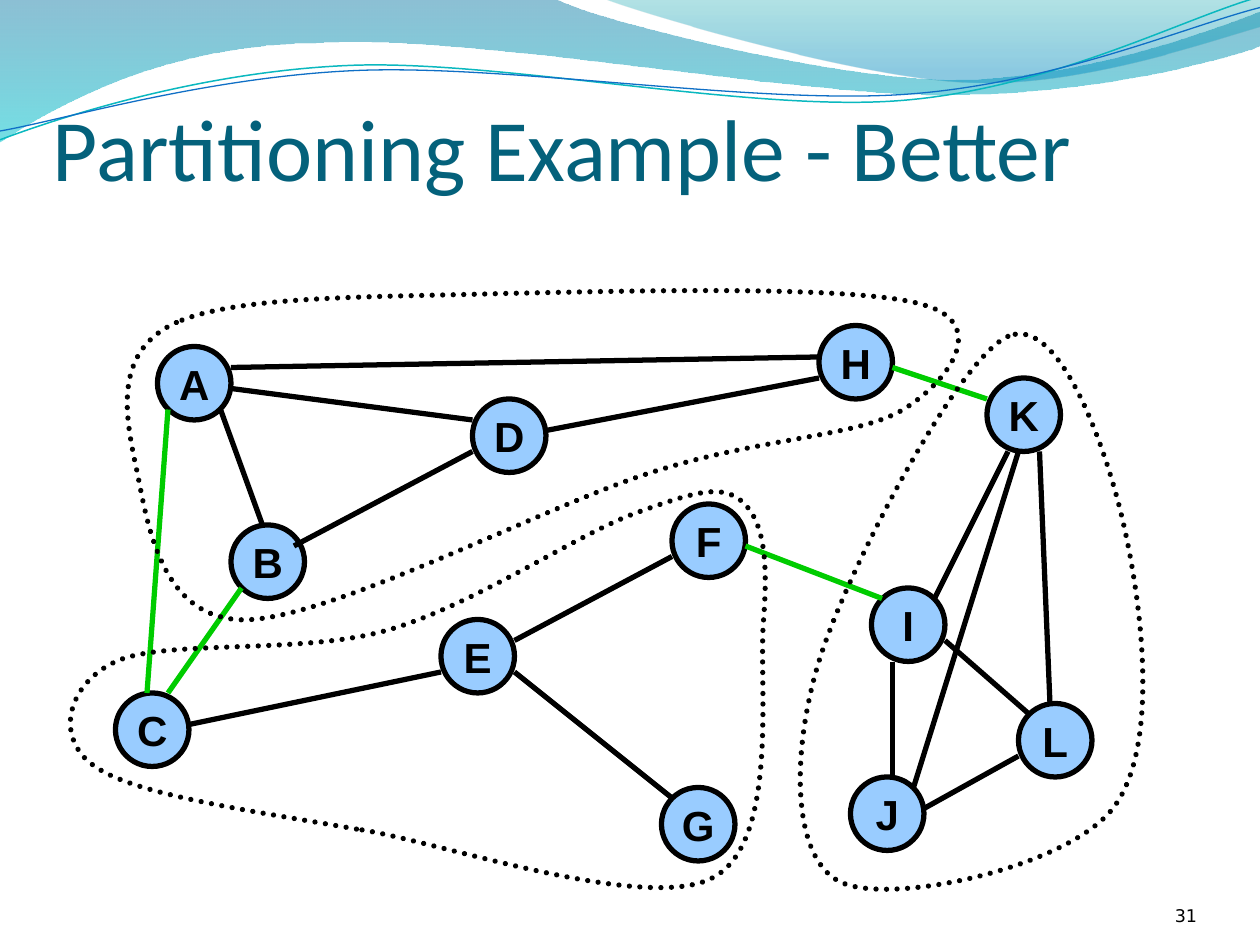
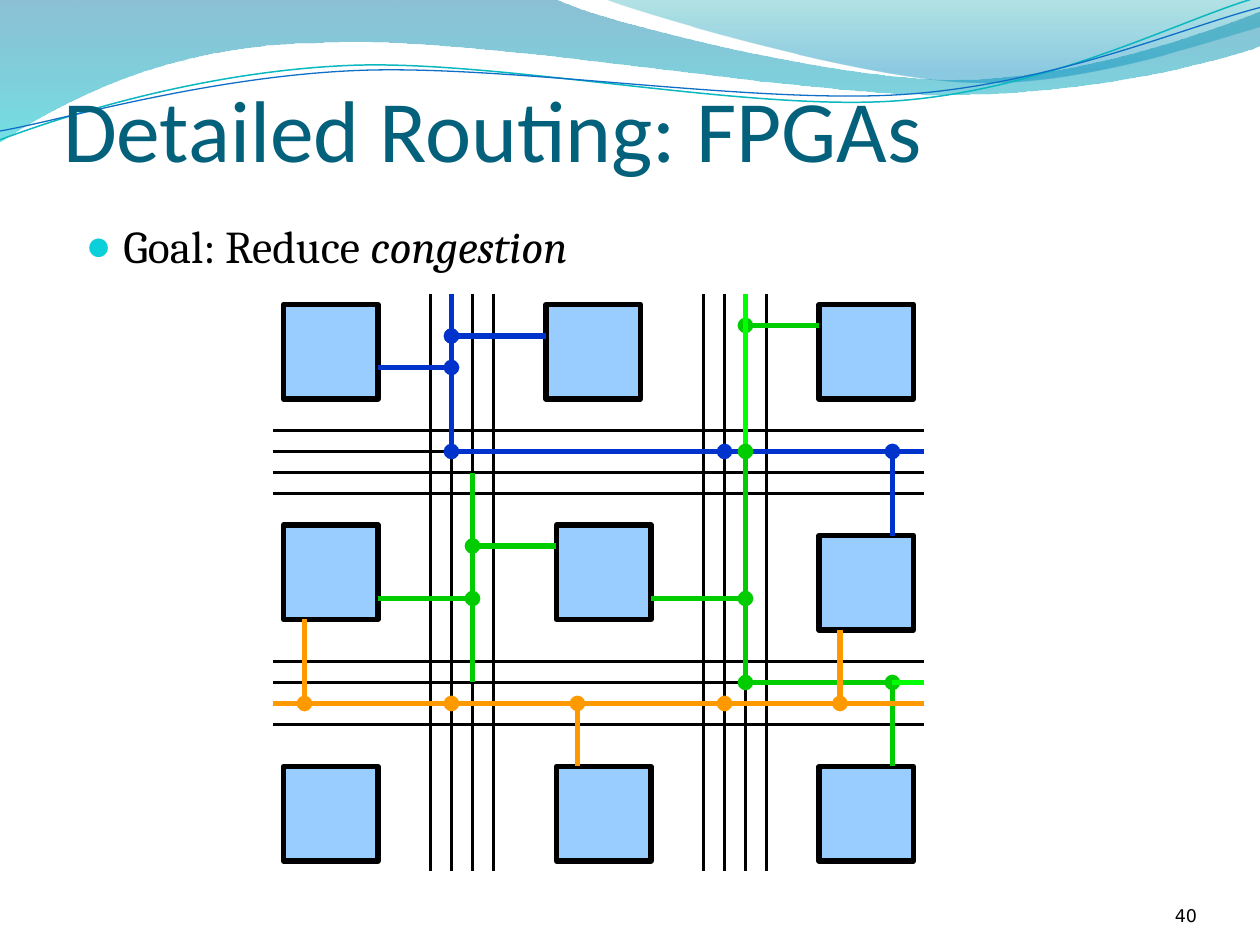
from dataclasses import dataclass

from lxml import etree
from pptx import Presentation
from pptx.dml.color import RGBColor
from pptx.enum import dml, shapes, text
from pptx.oxml.ns import qn
from pptx.util import Inches, Pt


@dataclass(frozen=True)
class Theme:
    title: str = "04617B"
    ink: str = "000000"
    node: str = "99CCFF"
    bullet: str = "0BD0D9"
    blue: str = "0033CC"
    green: str = "00CC00"
    lime: str = "00FF00"
    orange: str = "FF9900"
    title_font: str = "Calibri"
    body_font: str = "Cambria"
    node_font: str = "Arial"
    number_font: str = "DejaVu Sans"
    title_size: float = 50
    body_size: float = 26
    node_size: float = 24
    number_size: float = 10
    heavy: float = 3
    thin: float = 1.5


T = Theme()

# Header waves: start point, then lines (x, y) and curves (three points each)
WAVES = [
    ((0, -0.01),
     [(4.4, -0.01), (4.76, 0.17, 6.64, 0.63, 7.58, 0.63),
      (8.53, 0.63, 9.58, 0.26, 10, 0.09), (10.01, 0.36),
      (9.83, 0.44, 8.7, 0.76, 7.46, 0.75), (6.22, 0.75, 3.82, 0.28, 2.57, 0.34),
      (1.29, 0.35, 0.46, 0.83, -0.01, 1.13)],
     [(0, "0074A1", 45), (1, "00C6CF", 55)]),
    ((4.79, -0.01),
     [(5.09, 0.11, 6.82, 0.62, 7.69, 0.65), (8.56, 0.69, 9.61, 0.32, 10, 0.21),
      (10, 0)],
     [(0, "00A1A9", 30), (0.8, "008BBF", 45)]),
]
WAVE_LINES = [
    ((0, 1.11),
     [(0.48, 0.93, 1.58, 0.57, 2.77, 0.52), (3.95, 0.47, 5.93, 0.89, 7.13, 0.8),
      (8.33, 0.71, 9.38, 0.15, 9.98, -0.02)], "0AB8BF", 0.85),
    ((0, 1.04),
     [(0.47, 0.96, 1.64, 0.61, 2.83, 0.56), (4.03, 0.51, 5.97, 0.83, 7.17, 0.75),
      (8.36, 0.67, 9.41, 0.21, 10, 0.06)], "0F6FC6", 0.75),
]

# Dotted outlines of the three partitions
PARTITIONS = [
    ((1.4, 2.56),
     [(0.91, 2.78, 0.99, 3.27, 1.07, 3.66), (1.16, 4.05, 1.23, 4.9, 1.92, 4.92),
      (2.6, 4.93, 4.29, 4.03, 5.17, 3.75), (6.04, 3.47, 6.81, 3.47, 7.17, 3.25),
      (7.53, 3.03, 7.86, 2.57, 7.33, 2.42), (6.81, 2.26, 4.99, 2.31, 4, 2.33),
      (3.01, 2.36, 1.89, 2.34, 1.4, 2.56)]),
    ((8, 2.67),
     [(7.6, 2.85, 6.72, 4.53, 6.5, 5.25), (6.28, 5.97, 6.28, 6.81, 6.67, 7),
      (7.06, 7.19, 8.46, 6.89, 8.83, 6.42), (9.21, 5.94, 9.06, 4.79, 8.92, 4.17),
      (8.78, 3.54, 8.4, 2.49, 8, 2.67)]),
    ((2.83, 6.58),
     [(1.97, 6.43, 1.07, 6.31, 0.75, 6.08), (0.43, 5.86, 0.53, 5.43, 0.92, 5.25),
      (1.31, 5.07, 2.39, 5.2, 3.08, 5), (3.77, 4.8, 4.58, 4.24, 5.05, 4.07),
      (5.52, 3.9, 5.73, 3.84, 5.89, 3.98), (6.06, 4.13, 6.1, 4.43, 6.06, 4.93),
      (6.02, 5.43, 6.19, 6.7, 5.65, 6.97), (5.11, 7.25, 3.42, 6.66, 2.83, 6.58)]),
]

# Both diagrams lie on a grid of twelfths of an inch
NODE_SIZE, BLOCK_SIZE = 7, 9
NODES = {"A": (15, 33), "B": (22, 50), "C": (11, 66), "D": (45, 38),
         "E": (42, 59), "G": (63, 75), "F": (64, 48), "H": (78, 31),
         "I": (83, 56), "J": (81, 74), "K": (94, 36), "L": (97, 67)}
INNER_EDGES = [(21, 39, 25, 50), (28, 52, 45, 43), (22, 35, 78, 34),
               (52, 41, 78, 36), (22, 37, 45, 40), (18, 69, 42, 64),
               (49, 64, 64, 76), (49, 61, 64, 53), (96, 43, 89, 57),
               (90, 61, 98, 68), (99, 43, 100, 67), (88, 77, 97, 72),
               (97, 43, 87, 75), (85, 63, 85, 74)]
CUT_EDGES = [(16, 66, 23, 56), (16, 39, 14, 66), (85, 35, 94, 38), (71, 52, 84, 57)]

BLOCKS = [(27, 29), (52, 29), (78, 29), (27, 50), (53, 50), (78, 51),
          (27, 73), (53, 73), (78, 73)]
LEFT, RIGHT, TOP, BOTTOM = 26, 88, 28, 83
COLUMN_CHANNELS, ROW_CHANNELS = (41, 67), (41, 63)
TRACKS, TRACK_GAP = 4, 2

# Wires in drawing order: colour, those ending in a dot, those without
WIRES = [
    (T.blue,
     [(36, 35, 43, 35), (43, 28, 43, 43), (52, 32, 43, 32), (43, 43, 69, 43),
      (69, 43, 85, 43)],
     [(85, 43, 85, 51), (85, 43, 88, 43)]),
    (T.green,
     [(53, 52, 45, 52), (36, 57, 45, 57), (71, 65, 85, 65), (62, 57, 71, 57),
      (78, 31, 71, 31)],
     [(45, 45, 45, 65), (85, 65, 85, 73)]),
    (T.lime, [], [(85, 65, 88, 65), (71, 43, 71, 28)]),
    (T.green, [(71, 65, 71, 43), (71, 43, 71, 65)], []),
    (T.orange,
     [(29, 59, 29, 67), (80, 60, 80, 67), (55, 73, 55, 67), (26, 67, 43, 67),
      (43, 67, 69, 67)],
     [(69, 67, 88, 67)]),
]


def rgb(value):
    return RGBColor.from_string(value)


def twelfths(*values):
    return [Inches(v / 12) for v in values]


def write(p, words, font, size, color=T.ink, bold=False, italic=False, align=None):
    """Add one formatted run to a paragraph."""
    r = p.add_run()
    r.text = words
    r.font.name, r.font.size = font, Pt(size)
    r.font.bold, r.font.italic = bold, italic
    r.font.color.rgb = rgb(color)
    if align is not None:
        p.alignment = align


def set_frame(tf, anchor, insets=None, wrap=True):
    tf.word_wrap, tf.vertical_anchor = wrap, anchor
    tf.auto_size = text.MSO_AUTO_SIZE.NONE
    if insets:
        (tf.margin_left, tf.margin_top,
         tf.margin_right, tf.margin_bottom) = [Inches(i) for i in insets]


def place(sp, box):
    sp.left, sp.top, sp.width, sp.height = [Inches(v) for v in box]


def outline(sp, color, width):
    sp.line.color.rgb, sp.line.width = rgb(color), Pt(width)


def add_path(s, start, segments, closed):
    """Build a freeform, then turn each run of three points into a curve."""
    points = [(Inches(seg[i]), Inches(seg[i + 1]))
              for seg in segments for i in range(0, len(seg), 2)]
    builder = s.shapes.build_freeform(Inches(start[0]), Inches(start[1]))
    builder.add_line_segments(points, close=closed)
    sp = builder.convert_to_shape()
    sp.shadow.inherit = False
    path = next(sp._element.iter(qn("a:path")))
    steps = iter(path.findall(qn("a:lnTo")))
    for seg in segments:
        first, *rest = [next(steps) for _ in range(len(seg) // 2)]
        for step in rest:
            first.append(step[0])
            path.remove(step)
        if rest:
            first.tag = qn("a:cubicBezTo")
    return sp


def add_line(s, ends, color, width, dot=False):
    c = s.shapes.add_connector(shapes.MSO_CONNECTOR.STRAIGHT, *twelfths(*ends))
    outline(c, color, width)
    if dot:
        etree.SubElement(c.line._get_or_add_ln(), qn("a:tailEnd"), type="oval")
    etree.SubElement(c._element.spPr, qn("a:effectLst"))


def add_box(s, kind, x, y, size):
    sp = s.shapes.add_shape(kind, *twelfths(x, y, size, size))
    sp.shadow.inherit = False
    sp.fill.solid()
    sp.fill.fore_color.rgb = rgb(T.node)
    outline(sp, T.ink, T.heavy)
    return sp


def add_header(prs, s):
    """Draw the waves once and keep them on the master, behind everything."""
    waves = []
    for start, segments, stops in WAVES:
        sp = add_path(s, start, segments, True)
        sp.line.fill.background()
        sp.fill.gradient()
        sp.fill.gradient_angle = 270
        for stop, (position, color, opacity) in zip(sp.fill.gradient_stops, stops):
            stop.position, stop.color.rgb = position, rgb(color)
        for (_, _, opacity), clr in zip(stops, sp._element.spPr.iter(qn("a:srgbClr"))):
            etree.SubElement(clr, qn("a:alpha"), val=str(opacity * 1000))
        waves.append(sp)
    for start, segments, color, width in WAVE_LINES:
        sp = add_path(s, start, segments, False)
        sp.fill.background()
        outline(sp, color, width)
        waves.append(sp)
    tree = prs.slide_master.shapes._spTree
    for i, sp in enumerate(waves):
        sp._element.nvSpPr.cNvPr.set("id", str(100 + i))
        tree.insert(2 + i, sp._element)


def add_slide(prs, layout, title, box, number):
    s = prs.slides.add_slide(prs.slide_layouts.get_by_name(layout))
    sp = s.shapes.title
    place(sp, box)
    set_frame(sp.text_frame, text.MSO_ANCHOR.BOTTOM, (0, 0.05, 0, 0))
    write(sp.text_frame.paragraphs[0], title, T.title_font, T.title_size, T.title,
          align=text.PP_ALIGN.LEFT)
    # Slide number
    tf = s.shapes.add_textbox(*[Inches(v) for v in (8.67, 6.95, 0.83, 0.4)]).text_frame
    set_frame(tf, text.MSO_ANCHOR.BOTTOM, (0, 0, 0, 0))
    write(tf.paragraphs[0], number, T.number_font, T.number_size,
          align=text.PP_ALIGN.RIGHT)
    return s


def add_goal(s):
    body = s.placeholders[1]
    place(body, (0.58, 1.68, 9, 4.8))
    set_frame(body.text_frame, text.MSO_ANCHOR.TOP)
    p = body.text_frame.paragraphs[0]
    p.space_before = Pt(0.2 * T.body_size)
    pPr = p._p.get_or_add_pPr()
    pPr.set("marL", str(Inches(0.3)))
    pPr.set("indent", str(Inches(-0.3)))
    color = etree.SubElement(pPr, qn("a:buClr"))
    etree.SubElement(color, qn("a:srgbClr"), val=T.bullet)
    etree.SubElement(pPr, qn("a:buSzPct"), val="95000")
    etree.SubElement(pPr, qn("a:buChar"), char="●")
    write(p, "Goal: Reduce ", T.body_font, T.body_size)
    write(p, "congestion", T.body_font, T.body_size, italic=True)


def add_partition_graph(s):
    for name, (x, y) in NODES.items():
        tf = add_box(s, shapes.MSO_SHAPE.OVAL, x, y, NODE_SIZE).text_frame
        set_frame(tf, text.MSO_ANCHOR.MIDDLE, wrap=False)
        write(tf.paragraphs[0], name, T.node_font, T.node_size, bold=True,
              align=text.PP_ALIGN.CENTER)
    for edges, color in ((INNER_EDGES, T.ink), (CUT_EDGES, T.green)):
        for ends in edges:
            add_line(s, ends, color, T.heavy)
    for start, segments in PARTITIONS:
        sp = add_path(s, start, segments, True)
        sp.fill.background()
        outline(sp, T.ink, T.heavy)
        sp.line.dash_style = dml.MSO_LINE.ROUND_DOT
        sp.line._get_or_add_ln().set("cap", "rnd")


def add_routing(s):
    for x, y in BLOCKS:
        add_box(s, shapes.MSO_SHAPE.RECTANGLE, x, y, BLOCK_SIZE)
    # Routing tracks
    offsets = [i * TRACK_GAP for i in range(TRACKS)]
    for x in [c + d for c in COLUMN_CHANNELS for d in offsets]:
        add_line(s, (x, TOP, x, BOTTOM), T.ink, T.thin)
    for y in [c + d for c in ROW_CHANNELS for d in offsets]:
        add_line(s, (LEFT, y, RIGHT, y), T.ink, T.thin)
    # Routed nets
    for color, dotted, plain in WIRES:
        for wires, dot in ((dotted, True), (plain, False)):
            for ends in wires:
                add_line(s, ends, color, T.heavy, dot)


def main():
    prs = Presentation()
    prs.slide_width, prs.slide_height = Inches(10), Inches(7.5)

    s = add_slide(prs, "Title Only", "Partitioning Example - Better",
                  (0.42, 0.5, 9.67, 1.08), "31")
    add_header(prs, s)
    add_partition_graph(s)

    s = add_slide(prs, "Title and Content", "Detailed Routing: FPGAs",
                  (0.5, 0.18, 9, 1.25), "40")
    add_goal(s)
    add_routing(s)

    prs.save("out.pptx")


main()
